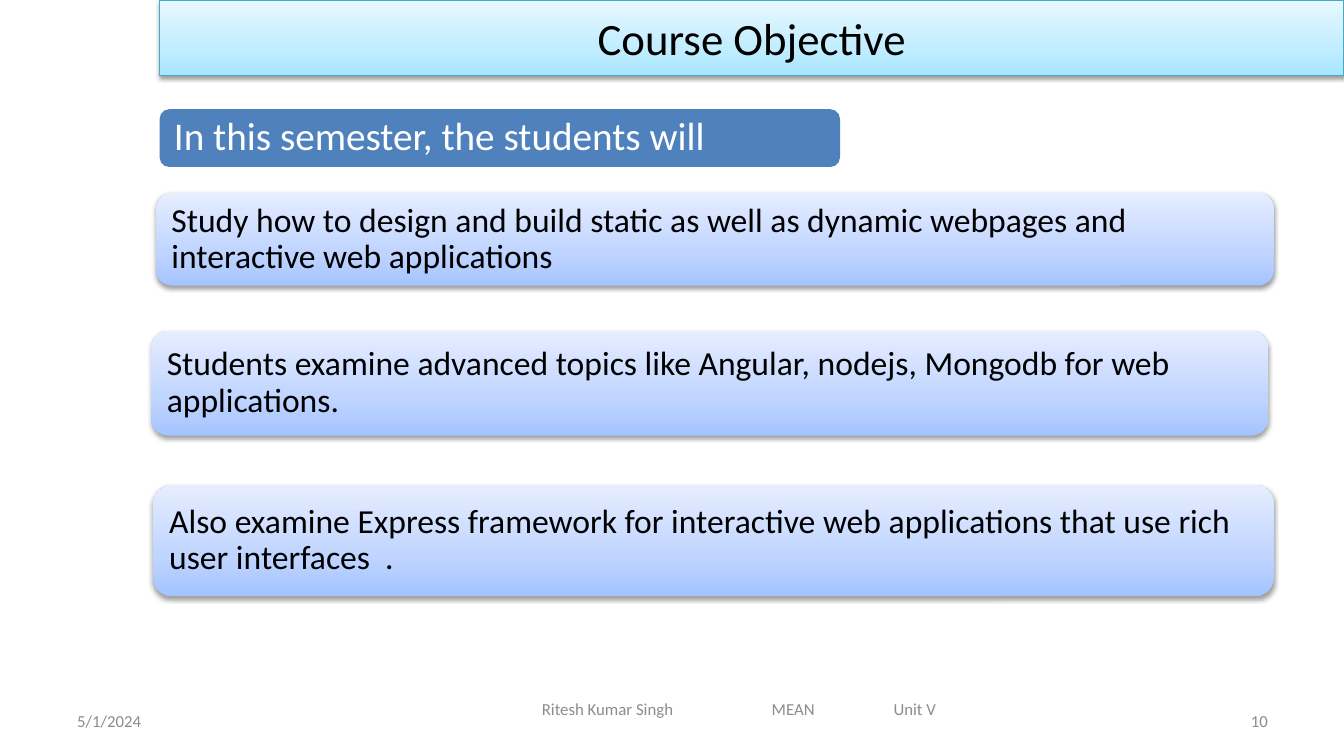
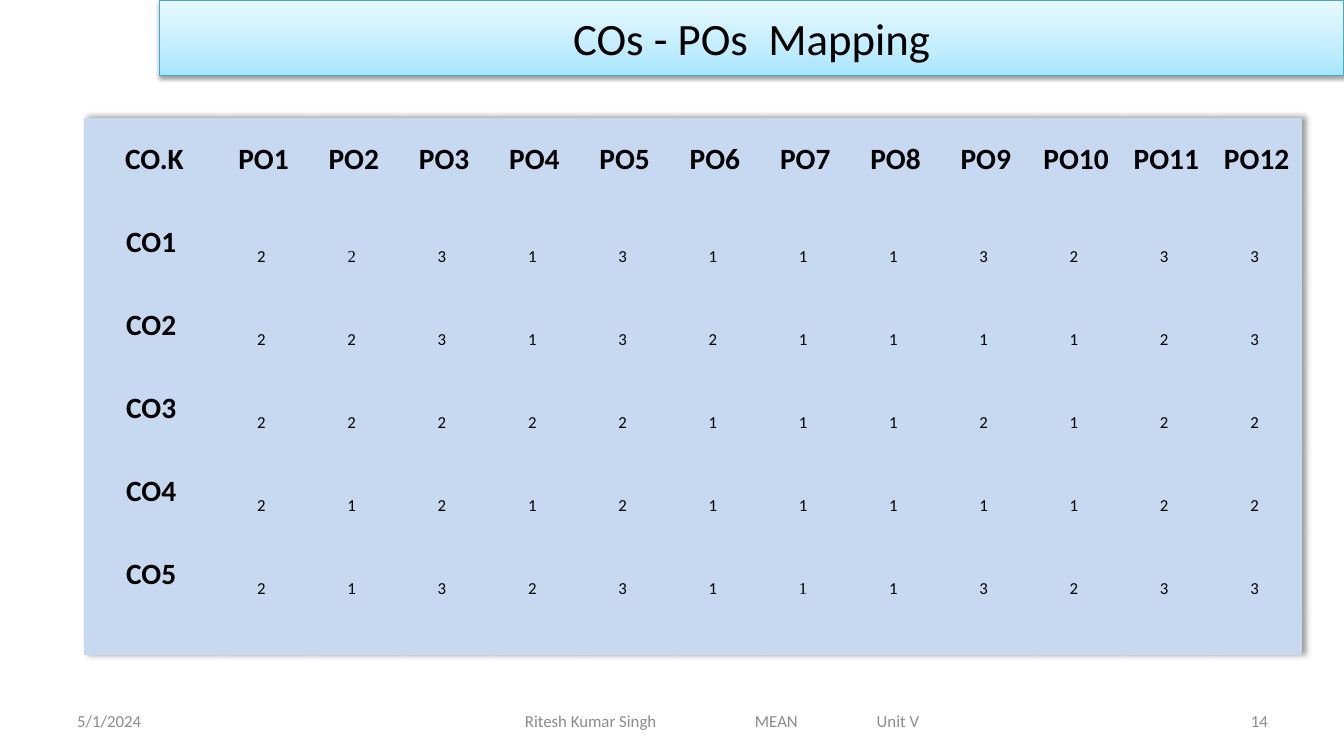
from dataclasses import dataclass
from typing import NamedTuple

from lxml import etree
from pptx import Presentation
from pptx import util as u
from pptx.dml.color import RGBColor
from pptx.enum import shapes, text
from pptx.oxml import ns

PX = 9525
NO_GRID_STYLE = "{2D5ABB26-0587-4C30-8999-92F81FD0307C}"


class Box(NamedTuple):
    left: int
    top: int
    width: int
    height: int

    def emu(self):
        return [value * PX for value in self]


@dataclass(frozen=True)
class Theme:
    font: str = "Calibri"
    serif: str = "Times New Roman"
    ink: str = "000000"
    light: str = "FFFFFF"
    muted: str = "8C8C8C"
    heading_fill: str = "4F81BD"
    cell_fill: str = "C6D9F1"
    title_line: str = "46AAC5"
    title_stops: tuple = ("A7E6FF", "C1EDFF", "E7F8FF")
    card_stops: tuple = ("A4C4FF", "BFD4FF", "E6EEFF")
    title_size: int = 32
    heading_size: int = 28
    card_size: int = 24
    label_size: int = 21
    small_size: int = 12


THEME = Theme()
LEFT, CENTER, RIGHT = text.PP_ALIGN.LEFT, text.PP_ALIGN.CENTER, text.PP_ALIGN.RIGHT

TITLE_BOX = Box(152, 0, 1128, 72)
DATE_BOX = Box(64, 667, 299, 38)
NUMBER_BOX = Box(918, 667, 299, 38)
FOOTER_PARTS = ("Ritesh Kumar Singh", "MEAN", "Unit V")
FOOTER_TABS = (219, 335)
FOOTER_TEXT_WIDTH = 376

OBJECTIVES = (
    (Box(149, 184, 1064, 88),
     "Study how to design and build static as well as dynamic webpages and "
     "interactive web applications"),
    (Box(144, 315, 1064, 100),
     "Students examine advanced topics like Angular, nodejs, Mongodb for web "
     "applications."),
    (Box(146, 462, 1067, 106),
     "Also examine Express framework for interactive web applications that use "
     "rich user interfaces  ."),
)

# One digit for each of PO1 to PO12
MAPPING = {
    "CO1": "223131113233",
    "CO2": "223132111123",
    "CO3": "222221112122",
    "CO4": "212121111122",
    "CO5": "213231113233",
}
SERIF_CELLS = {("CO1", 2), ("CO5", 7)}


def add_element(parent, tag, **attributes):
    return etree.SubElement(parent, ns.qn(tag), {k: str(v) for k, v in attributes.items()})


def set_font(paragraph, size, color=THEME.ink, bold=False, name=THEME.font):
    font = paragraph.font
    font.name, font.size, font.bold = name, u.Pt(size), bold
    font.color.rgb = RGBColor.from_string(color)


def write(frame, words, size, color=THEME.ink, align=LEFT, spacing=None, tabs=()):
    """Fill a text frame with one vertically centred paragraph."""
    frame.word_wrap = True
    frame.vertical_anchor = text.MSO_ANCHOR.MIDDLE
    paragraph = frame.paragraphs[0]
    paragraph.text = words
    if tabs:
        stops = add_element(paragraph._p.get_or_add_pPr(), "a:tabLst")
        for position in tabs:
            add_element(stops, "a:tab", pos=position * PX, algn="l")
    paragraph.alignment = align
    if spacing:
        paragraph.line_spacing = spacing
    set_font(paragraph, size, color)


def add_shadow(effects, blur, distance, direction, opacity):
    shadow = add_element(effects, "a:outerShdw", blurRad=blur, dist=distance,
                         dir=direction * 60000, algn="ctr", rotWithShape=0)
    color = add_element(shadow, "a:srgbClr", val=THEME.ink)
    add_element(color, "a:alpha", val=opacity * 1000)


def add_panel(page, kind, box, line=None):
    panel = page.shapes.add_shape(kind, *box.emu())
    panel.shadow.inherit = False
    if line:
        panel.line.color.rgb = RGBColor.from_string(line)
        panel.line.width = u.Pt(0.75)
    else:
        panel.line.fill.background()
    return panel


def shade(panel, colors):
    """Give a panel an upward gradient and a soft shadow below."""
    panel.fill.gradient()
    panel.fill.gradient_angle = 90
    properties = panel._element.spPr
    stops = properties.find(ns.qn("a:gradFill")).find(ns.qn("a:gsLst"))
    for stop in list(stops):
        stops.remove(stop)
    for percent, color in zip((0, 35, 100), colors):
        add_element(add_element(stops, "a:gs", pos=percent * 1000), "a:srgbClr", val=color)
    add_shadow(properties.find(ns.qn("a:effectLst")), 40000, 20000, 90, 38)


def add_title(page, box, words):
    band = add_panel(page, shapes.MSO_SHAPE.RECTANGLE, box, THEME.title_line)
    shade(band, THEME.title_stops)
    write(band.text_frame, words, THEME.title_size, align=CENTER)


def add_footer(page, center_box, number):
    def place(box, words, align, **options):
        frame = page.shapes.add_textbox(*box.emu()).text_frame
        write(frame, words, THEME.small_size, THEME.muted, align, **options)
        return frame

    place(DATE_BOX, "5/1/2024", LEFT)
    credits = place(center_box, "\t".join(FOOTER_PARTS), LEFT, tabs=FOOTER_TABS)
    credits.margin_left = (center_box.width - FOOTER_TEXT_WIDTH) // 2 * PX
    credits.margin_right = 0
    place(NUMBER_BOX, number, RIGHT)


def add_rounded(page, box, words, size, color, inset):
    panel = add_panel(page, shapes.MSO_SHAPE.ROUNDED_RECTANGLE, box)
    frame = panel.text_frame
    frame.margin_left = frame.margin_right = inset * PX
    frame.margin_top = frame.margin_bottom = 0
    write(frame, words, size, color, spacing=0.9)
    return panel


def fill_cell(cell, words, size, margins, bold=False, name=THEME.font):
    """Margins are left, top, right and bottom in px."""
    cell.fill.solid()
    cell.fill.fore_color.rgb = RGBColor.from_string(THEME.cell_fill)
    cell.vertical_anchor = text.MSO_ANCHOR.MIDDLE
    (cell.margin_left, cell.margin_top,
     cell.margin_right, cell.margin_bottom) = [value * PX for value in margins]
    paragraph = cell.text_frame.paragraphs[0]
    paragraph.text = words
    paragraph.alignment = CENTER
    set_font(paragraph, size, bold=bold, name=name)


def add_mapping_table(page, box, label_width=128, row_height=79):
    outcomes = len(next(iter(MAPPING.values())))
    header = ["CO.K"] + [f"PO{number}" for number in range(1, outcomes + 1)]
    rows = [header] + [[label, *digits] for label, digits in MAPPING.items()]
    rows.append([""] * len(header))

    table = page.shapes.add_table(len(rows), len(header), *box.emu()).table
    table.first_row = table.horz_banding = False
    properties = table._tbl.tblPr
    properties.find(ns.qn("a:tableStyleId")).text = NO_GRID_STYLE
    effects = add_element(properties, "a:effectLst")
    properties.insert(0, effects)
    add_shadow(effects, 50800, 38100, 0, 40)

    for index, column in enumerate(table.columns):
        column.width = ((box.width - label_width) // outcomes if index else label_width) * PX
    last = len(rows) - 1
    for index, row in enumerate(table.rows):
        row.height = (row_height if index < last else box.height - last * row_height) * PX

    for row, values in enumerate(rows):
        for column, words in enumerate(values):
            cell = table.cell(row, column)
            if row == last:
                fill_cell(cell, words, THEME.small_size, (0, 0, 0, 0))
            elif row == 0 or column == 0:
                indent = 7 if row == column == 0 else 1
                fill_cell(cell, words, THEME.label_size, (indent, 1, 1, 0), bold=True)
            else:
                serif = (values[0], column) in SERIF_CELLS
                fill_cell(cell, words, THEME.small_size, (10, 34, 14, 5),
                          name=THEME.serif if serif else THEME.font)


def add_page(deck, title, footer_box, number):
    page = deck.slides.add_slide(deck.slide_layouts[6])
    add_footer(page, footer_box, number)
    add_title(page, TITLE_BOX, title)
    return page


def build_objectives(deck):
    page = add_page(deck, "Course Objective", Box(456, 656, 496, 38), "10")
    heading = add_rounded(page, Box(152, 104, 648, 55), "In this semester, the students will",
                          THEME.heading_size, THEME.light, 11)
    heading.fill.solid()
    heading.fill.fore_color.rgb = RGBColor.from_string(THEME.heading_fill)
    for box, words in OBJECTIVES:
        card = add_rounded(page, box, words, THEME.card_size, THEME.ink, 10)
        shade(card, THEME.card_stops)


def build_mapping(deck):
    page = add_page(deck, "COs - POs  Mapping", Box(424, 667, 528, 38), "14")
    add_mapping_table(page, Box(80, 112, 1160, 512))


def main():
    deck = Presentation()
    deck.slide_width, deck.slide_height = 1280 * PX, 720 * PX
    build_objectives(deck)
    build_mapping(deck)
    deck.save("out.pptx")


if __name__ == "__main__":
    main()
